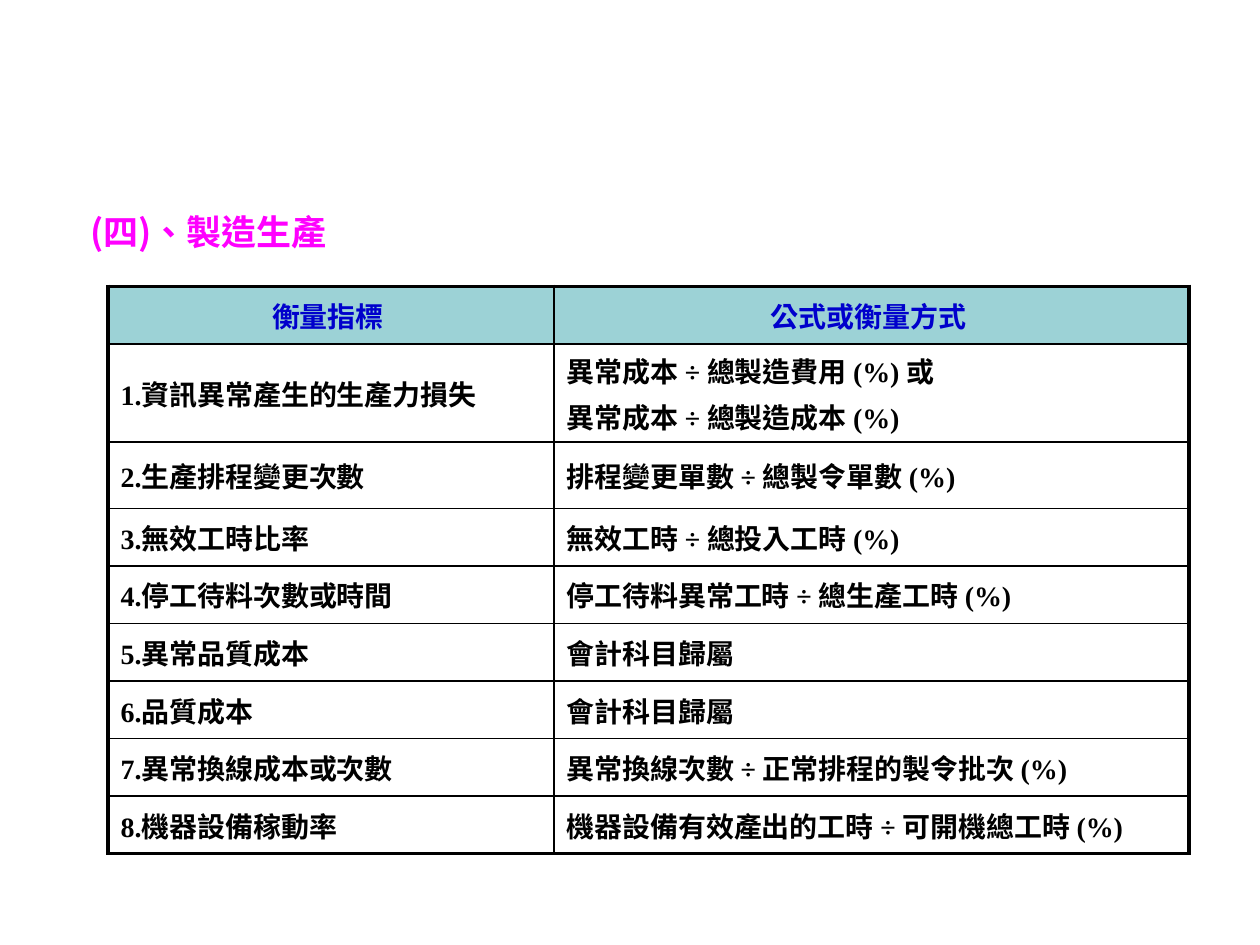
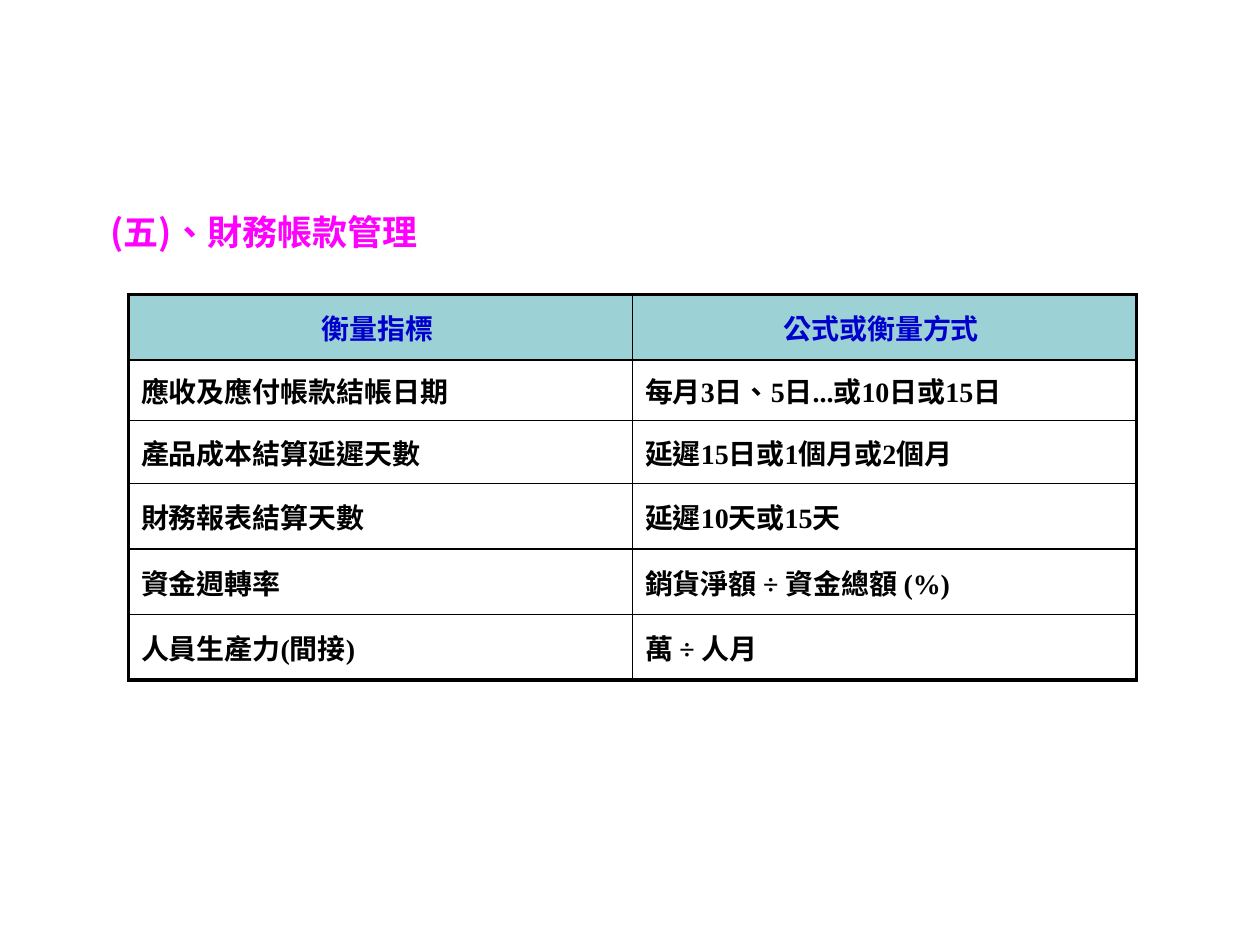
from lxml import etree
from pptx import Presentation
from pptx import util as u
from pptx.dml.color import RGBColor
from pptx.enum import lang, text
from pptx.oxml import ns

LATIN_FONT = "Times New Roman"
CHINESE_FONT = "Noto Sans CJK SC"
TITLE_COLOUR = "FF00FF"
HEADER_COLOUR = "0000CC"
HEADER_FILL = "9CD2D6"
BODY_COLOUR = "000000"
BODY_FILL = "FFFFFF"
BORDER_COLOUR = "000000"
OUTER_LINE = u.Pt(2.25)
INNER_LINE = u.Pt(1)

HEADINGS = ("衡量指標 ", "公式或衡量方式 ")

PRODUCTION_INDICATORS = [
    ("1.資訊異常產生的生產力損失",
     "異常成本 ÷ 總製造費用 (%) 或\n異常成本 ÷ 總製造成本 (%)"),
    ("2.生產排程變更次數", "排程變更單數 ÷ 總製令單數 (%)"),
    ("3.無效工時比率", "無效工時 ÷ 總投入工時 (%)"),
    ("4.停工待料次數或時間", "停工待料異常工時 ÷ 總生產工時 (%)"),
    ("5.異常品質成本", "會計科目歸屬"),
    ("6.品質成本", "會計科目歸屬"),
    ("7.異常換線成本或次數", "異常換線次數 ÷ 正常排程的製令批次 (%)"),
    ("8.機器設備稼動率", "機器設備有效產出的工時 ÷ 可開機總工時 (%)"),
]

FINANCE_INDICATORS = [
    ("應收及應付帳款結帳日期", "每月3日、5日...或10日或15日"),
    ("產品成本結算延遲天數", "延遲15日或1個月或2個月"),
    ("財務報表結算天數", "延遲10天或15天"),
    ("資金週轉率", "銷貨淨額 ÷ 資金總額 (%)"),
    ("人員生產力(間接)", "萬 ÷ 人月"),
]


def colour(hex_string):
    return RGBColor.from_string(hex_string)


def add_run(paragraph, words, size, font_colour, latin_font):
    run = paragraph.add_run()
    run.text = words
    font = run.font
    font.size = u.Pt(size)
    font.bold = True
    font.color.rgb = colour(font_colour)
    font.language_id = lang.MSO_LANGUAGE_ID.TRADITIONAL_CHINESE
    font.name = latin_font
    properties = run._r.get_or_add_rPr()
    etree.SubElement(properties, ns.qn("a:ea"), typeface=CHINESE_FONT)


def add_title(slide, words, left, top, width, height):
    shape = slide.shapes.add_textbox(u.Cm(left), u.Cm(top), u.Cm(width), u.Cm(height))
    frame = shape.text_frame
    frame.word_wrap = True
    frame.vertical_anchor = text.MSO_ANCHOR.MIDDLE
    add_run(frame.paragraphs[0], words, 20, TITLE_COLOUR, CHINESE_FONT)


def set_borders(cell, widths):
    properties = cell._tc.get_or_add_tcPr()
    for position, (side, width) in enumerate(widths.items()):
        line = etree.Element(ns.qn(f"a:ln{side}"), w=str(int(width)))
        fill = etree.SubElement(line, ns.qn("a:solidFill"))
        etree.SubElement(fill, ns.qn("a:srgbClr"), val=BORDER_COLOUR)
        properties.insert(position, line)


def fill_cell(cell, words, is_header):
    cell.vertical_anchor = text.MSO_ANCHOR.MIDDLE
    cell.fill.solid()
    cell.fill.fore_color.rgb = colour(HEADER_FILL if is_header else BODY_FILL)
    frame = cell.text_frame
    for index, line in enumerate(words.split("\n")):
        paragraph = frame.add_paragraph() if index else frame.paragraphs[0]
        if index:
            paragraph.space_before = u.Pt(3.2)
        if is_header:
            paragraph.alignment = text.PP_ALIGN.CENTER
        add_run(paragraph, line, 16, HEADER_COLOUR if is_header else BODY_COLOUR, LATIN_FONT)


def add_indicator_table(slide, indicators, left, top, column_widths, row_heights):
    rows = [HEADINGS, *indicators]
    shape = slide.shapes.add_table(
        len(rows), len(HEADINGS), u.Cm(left), u.Cm(top),
        u.Cm(sum(column_widths)), u.Cm(sum(row_heights)))
    table = shape.table
    table.horz_banding = False
    for column, width in zip(table.columns, column_widths):
        column.width = u.Cm(width)
    for row, height in zip(table.rows, row_heights):
        row.height = u.Cm(height)
    last_row, last_column = len(rows) - 1, len(HEADINGS) - 1
    for r, row in enumerate(rows):
        for c, words in enumerate(row):
            cell = table.cell(r, c)
            fill_cell(cell, words, r == 0)
            outer = {"L": c == 0, "R": c == last_column, "T": r == 0, "B": r == last_row}
            set_borders(cell, {side: OUTER_LINE if is_outer else INNER_LINE
                               for side, is_outer in outer.items()})


def main():
    presentation = Presentation()
    presentation.slide_width = u.Cm(25.4)
    presentation.slide_height = u.Cm(19.05)
    blank = presentation.slide_layouts[6]

    production = presentation.slides.add_slide(blank)
    add_title(production, "(四)、製造生產", 1.57, 3.96, 7.6, 1.4)
    add_indicator_table(production, PRODUCTION_INDICATORS, 2.18, 5.77,
                        [8.99, 12.8], [1.16, 1.98, 1.34] + [1.16] * 6)

    finance = presentation.slides.add_slide(blank)
    add_title(finance, "(五)、財務帳款管理", 1.98, 3.76, 8.2, 1.8)
    add_indicator_table(finance, FINANCE_INDICATORS, 2.59, 5.94,
                        [10.16] * 2, [1.32, 1.22, 1.27] + [1.32] * 3)

    presentation.save("out.pptx")


if __name__ == "__main__":
    main()
